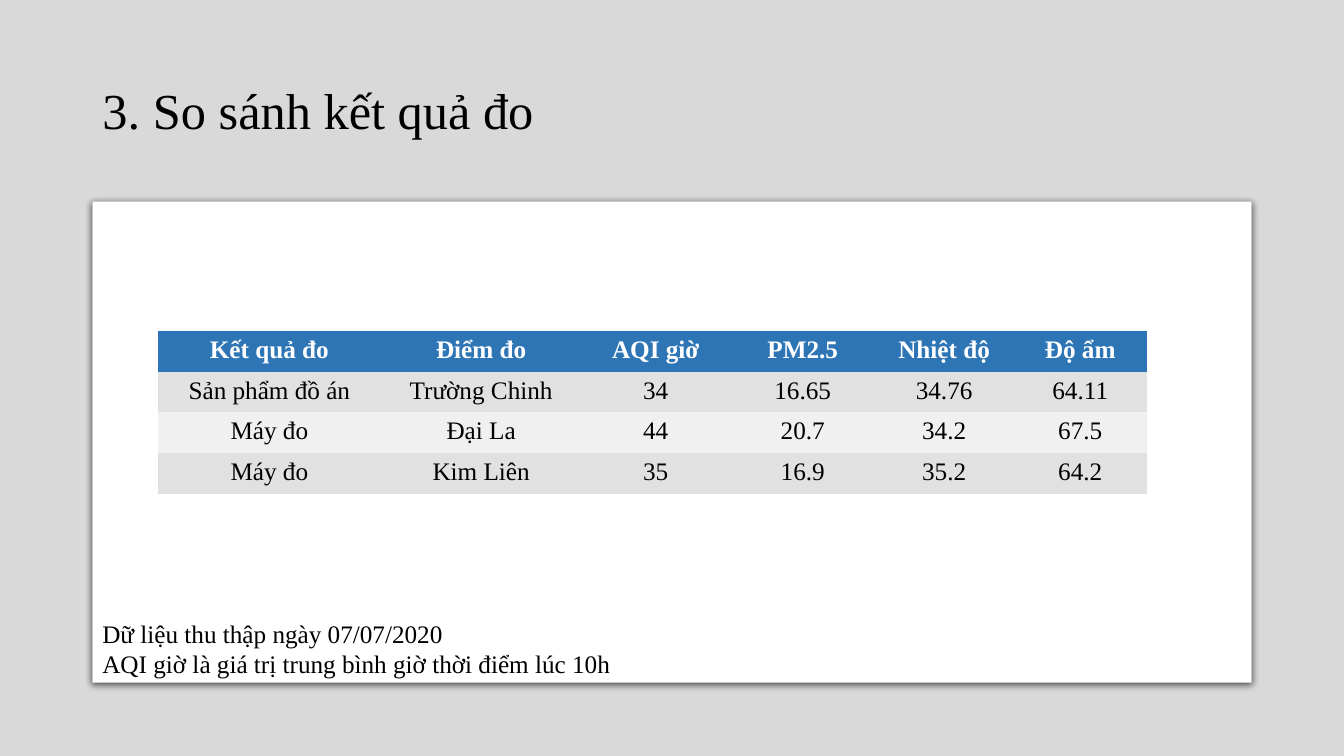
"""Build the slide that compares air quality measurements in a table."""
from lxml import etree
from pptx import Presentation
from pptx.dml.color import RGBColor
from pptx.enum.shapes import MSO_SHAPE
from pptx.enum.text import MSO_ANCHOR, MSO_AUTO_SIZE, PP_ALIGN
from pptx.oxml import parse_xml
from pptx.util import Pt

RECTANGLE = MSO_SHAPE.RECTANGLE
ROUNDED = MSO_SHAPE.ROUNDED_RECTANGLE
MIDDLE = MSO_ANCHOR.MIDDLE
FIT_SHAPE = MSO_AUTO_SIZE.SHAPE_TO_FIT_TEXT
LEFT, CENTER = PP_ALIGN.LEFT, PP_ALIGN.CENTER

TITLE = "3. So sánh kết quả đo"
ROWS = [
    ("Kết quả đo", "Điểm đo", "AQI giờ", "PM2.5", "Nhiệt độ", "Độ ẩm"),
    ("Sản phẩm đồ án", "Trường Chinh", "34", "16.65", "34.76", "64.11"),
    ("Máy đo", "Đại La", "44", "20.7", "34.2", "67.5"),
    ("Máy đo", "Kim Liên", "35", "16.9", "35.2", "64.2"),
]
NOTES = [
    "Dữ liệu thu thập ngày 07/07/2020",
    "AQI giờ là giá trị trung bình giờ thời điểm lúc 10h",
]

FONT = "Times New Roman"
COLORS = {
    "background": "E7E6E6", "backdrop": "D9D9D9", "card": "FFFFFF",
    "card_line": "C8CACA", "header": "2E75B6", "odd": "E1E1E1",
    "even": "F0F0F0", "text": "000000", "header_text": "FFFFFF",
}
SLIDE_WIDTH, SLIDE_HEIGHT = 960, 540
MARGIN = 66
CONTENT_WIDTH = SLIDE_WIDTH - 2 * MARGIN
TABLE_LEFT, TABLE_TOP, ROW_HEIGHT = 112.7, 236.2, 29.2
COLUMN_WIDTHS = [159.5, 143, 106.5, 103.5, 98.5, 96]
NO_GRID_STYLE = "{2D5ABB26-0587-4C30-8999-92F81FD0307C}"
NAMESPACE = "http://schemas.openxmlformats.org/drawingml/2006/main"
CARD_SHADOW = (
    f'<a:effectLst xmlns:a="{NAMESPACE}">'
    '<a:outerShdw blurRad="57150" dist="19050" dir="5400000" algn="ctr" rotWithShape="0">'
    '<a:srgbClr val="000000"><a:alpha val="63000"/></a:srgbClr>'
    '</a:outerShdw></a:effectLst>'
)


def color(name):
    return RGBColor.from_string(COLORS[name])


def paint(target, name):
    target.fill.solid()
    target.fill.fore_color.rgb = color(name)


def place(shape, left, top, width, height):
    shape.left, shape.top = Pt(left), Pt(top)
    shape.width, shape.height = Pt(width), Pt(height)


def format_paragraph(paragraph, size, name="text", align=LEFT, bold=False):
    paragraph.alignment = align
    font = paragraph.font
    font.name, font.size, font.bold = FONT, Pt(size), bold
    font.color.rgb = color(name)


def add_panel(slide, kind, box, name):
    panel = slide.shapes.add_shape(kind, *map(Pt, box))
    panel.shadow.inherit = False
    paint(panel, name)
    panel.line.fill.background()
    return panel


def add_title(slide):
    title = slide.shapes.title
    place(title, MARGIN, 28.75, CONTENT_WIDTH, 104.4)
    title.text_frame.text = TITLE
    title.text_frame.vertical_anchor = MIDDLE
    paragraph = title.text_frame.paragraphs[0]
    format_paragraph(paragraph, 36)
    paragraph.line_spacing = 0.9


def add_card(slide):
    card = add_panel(slide, ROUNDED, (MARGIN, 144, CONTENT_WIDTH, 343.5), "card")
    card.adjustments[0] = 0
    card.line.color.rgb = color("card_line")
    card.line.width = Pt(0.75)
    properties = card._element.spPr
    properties.replace(properties.find(f"{{{NAMESPACE}}}effectLst"), parse_xml(CARD_SHADOW))


def add_results(slide):
    frame = slide.shapes.add_table(
        len(ROWS), len(COLUMN_WIDTHS), Pt(TABLE_LEFT), Pt(TABLE_TOP),
        Pt(sum(COLUMN_WIDTHS)), Pt(ROW_HEIGHT * len(ROWS)))
    table = frame.table
    style = table._tbl.tblPr.find(etree.QName(NAMESPACE, "tableStyleId").text)
    style.text = NO_GRID_STYLE
    for column, width in zip(table.columns, COLUMN_WIDTHS):
        column.width = Pt(width)
    for index, (row, values) in enumerate(zip(table.rows, ROWS)):
        row.height = Pt(ROW_HEIGHT)
        header = index == 0
        fill = "header" if header else "odd" if index % 2 else "even"
        for cell, value in zip(row.cells, values):
            cell.text = value
            paint(cell, fill)
            format_paragraph(cell.text_frame.paragraphs[0], 18,
                             "header_text" if header else "text", CENTER, header)


def add_notes(slide):
    box = slide.shapes.add_textbox(Pt(MARGIN), Pt(437.8), Pt(386), Pt(51))
    frame = box.text_frame
    frame.word_wrap = False
    frame.auto_size = FIT_SHAPE
    frame.text = "\n".join(NOTES)
    for paragraph in frame.paragraphs:
        format_paragraph(paragraph, 18)


def main():
    presentation = Presentation()
    presentation.slide_width, presentation.slide_height = Pt(SLIDE_WIDTH), Pt(SLIDE_HEIGHT)
    slide = presentation.slides.add_slide(presentation.slide_layouts[5])
    paint(slide.background, "background")
    backdrop = add_panel(slide, RECTANGLE, (0, 0, SLIDE_WIDTH, SLIDE_HEIGHT), "backdrop")
    slide.shapes.title._element.addprevious(backdrop._element)
    add_title(slide)
    add_card(slide)
    add_results(slide)
    add_notes(slide)
    presentation.save("out.pptx")


if __name__ == "__main__":
    main()
